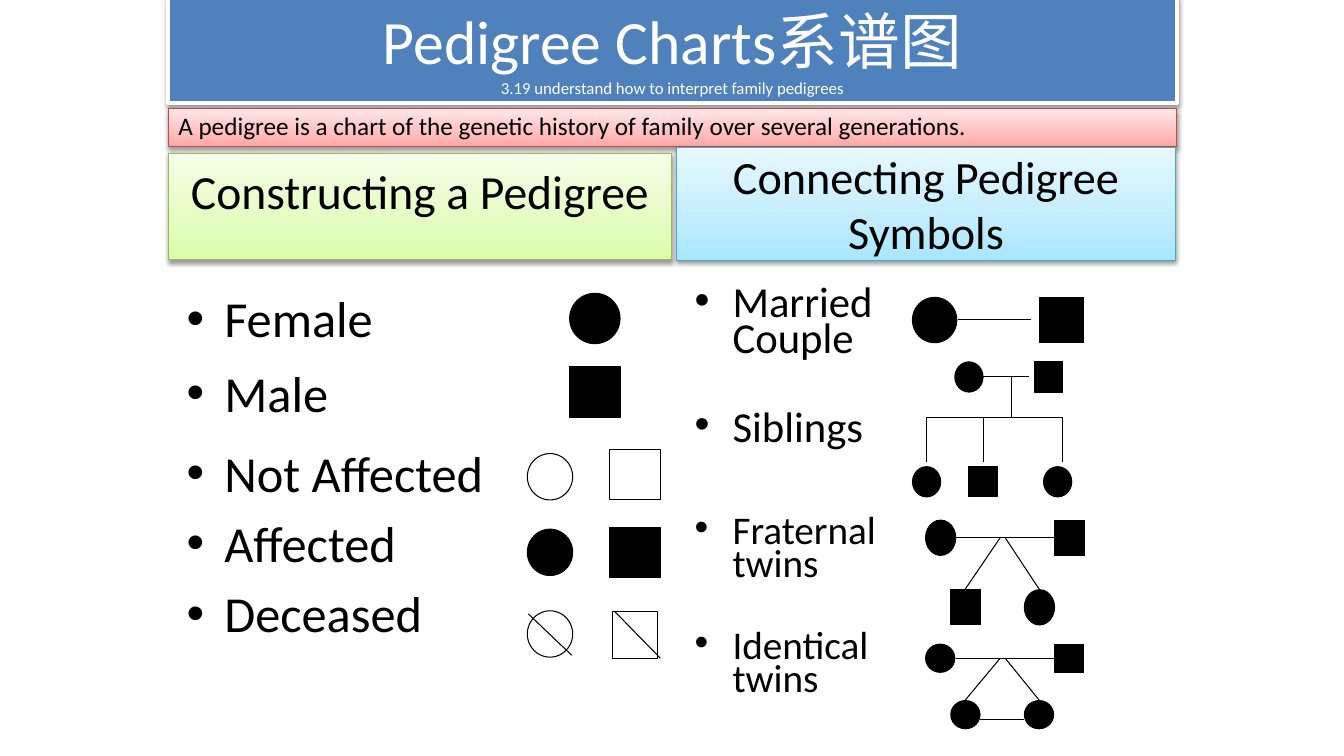
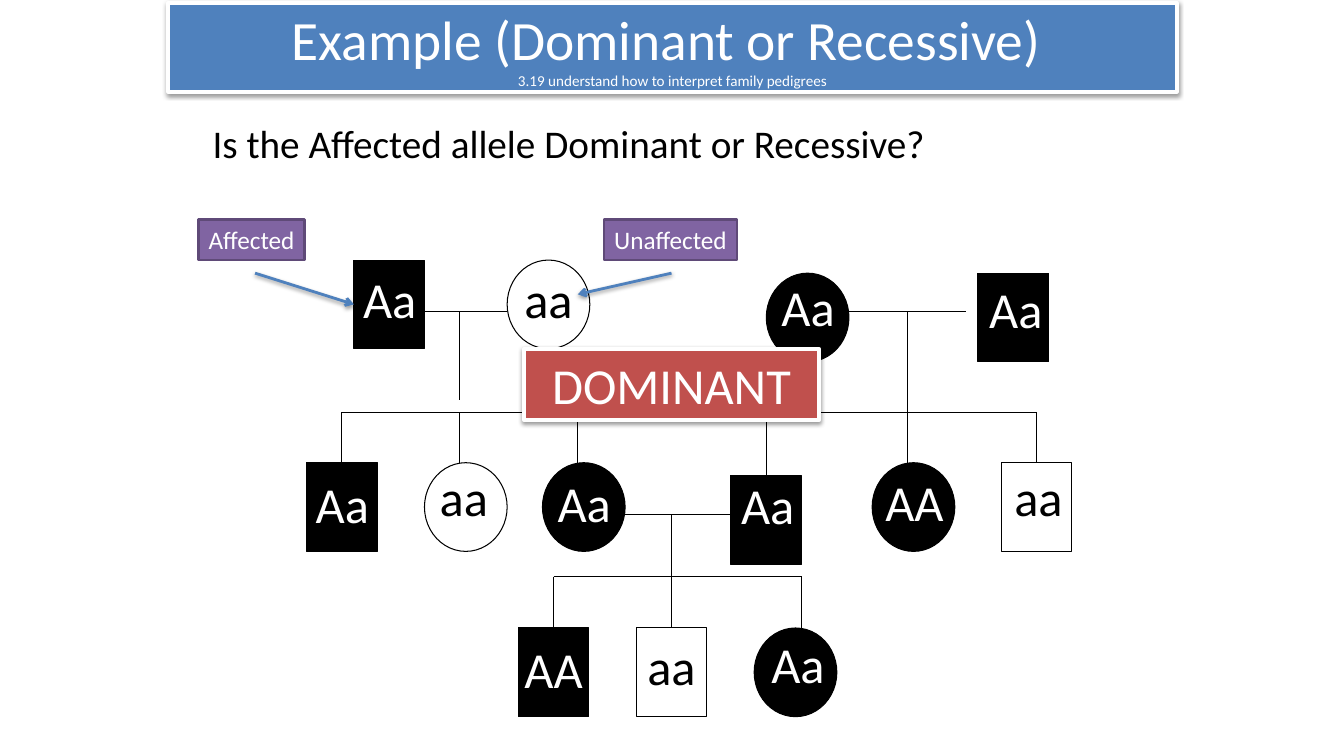
from dataclasses import dataclass
from typing import Optional, Sequence

from lxml.etree import SubElement
from pptx import Presentation
from pptx.dml.color import RGBColor
from pptx.enum.shapes import MSO_CONNECTOR, MSO_SHAPE
from pptx.enum.text import MSO_ANCHOR, MSO_AUTO_SIZE, PP_ALIGN
from pptx.oxml.ns import qn
from pptx.util import Inches, Pt

FONT = "Calibri"
BLACK, WHITE = "000000", "FFFFFF"
BLUE, RED, PURPLE, PURPLE_EDGE = "4F81BD", "C0504D", "8064A2", "5F4A78"
PINK_BAND = ("FFA6A5", "FFC0BF", "FFE7E7")
GREEN_BAND = ("DAFDA7", "E4FCC2", "F5FFE7")
SKY_BAND = ("A7E6FF", "C1EDFF", "E7F8FF")
SUBTITLE = "3.19 understand how to interpret family pedigrees"
MALE, FEMALE = MSO_SHAPE.RECTANGLE, MSO_SHAPE.OVAL


@dataclass
class Symbol:
    form: MSO_SHAPE
    left: float
    top: float
    width: float
    height: float
    fill: str = BLACK


@dataclass
class Person:
    """A family member with a genotype label placed on the symbol."""
    form: MSO_SHAPE
    left: float
    top: float
    genotype: str
    label_left: float
    label_top: float


@dataclass
class Item:
    text: str
    size: float
    before: float = 0


@dataclass
class Band:
    text: str
    box: tuple
    stops: tuple
    edge: str
    size: float
    align: PP_ALIGN = PP_ALIGN.CENTER
    anchor: MSO_ANCHOR = MSO_ANCHOR.MIDDLE
    top_inset: float = 0.05
    spacing: float = 1.0


@dataclass
class Siblings:
    """A bar at height bar with one drop from it to each child."""
    bar: float
    drops: Sequence[tuple]


def rgb(hex_color: str) -> RGBColor:
    return RGBColor.from_string(hex_color)


def write(paragraph, text: str, *, size: float, color: str = BLACK,
          align: Optional[PP_ALIGN] = None, spacing: Optional[float] = None,
          before: Optional[float] = None) -> None:
    """Add one run to the paragraph and format both."""
    run = paragraph.add_run()
    run.text = text
    run.font.name, run.font.size = FONT, Pt(size)
    run.font.color.rgb = rgb(color)
    if align is not None:
        paragraph.alignment = align
    if spacing is not None:
        paragraph.line_spacing = spacing
    if before is not None:
        paragraph.space_before = Pt(before)


def place(shape, left: float, top: float, width: float, height: float) -> None:
    shape.left, shape.top = Inches(left), Inches(top)
    shape.width, shape.height = Inches(width), Inches(height)


def cast_shadow(shape) -> None:
    properties = shape._element.spPr
    effects = properties.find(qn("a:effectLst"))
    if effects is None:
        effects = SubElement(properties, qn("a:effectLst"))
    shadow = SubElement(effects, qn("a:outerShdw"), blurRad=str(Pt(3.1)),
                        dist=str(Pt(1.6)), dir="5400000", rotWithShape="0")
    color = SubElement(shadow, qn("a:srgbClr"), val=BLACK)
    SubElement(color, qn("a:alpha"), val="38000")


def paint(shape, fill: str, edge: str = BLACK, weight: float = 0.75,
          shadow: bool = False) -> None:
    shape.fill.solid()
    shape.fill.fore_color.rgb = rgb(fill)
    shape.line.color.rgb = rgb(edge)
    shape.line.width = Pt(weight)
    shape.shadow.inherit = False
    if shadow:
        cast_shadow(shape)


def paint_gradient(shape, stops: tuple) -> None:
    """Fill from bottom to top with three stops."""
    shape.fill.gradient()
    shape.fill.gradient_angle = 90
    stop_list = shape._element.spPr.find(".//" + qn("a:gsLst"))
    for old in list(stop_list):
        stop_list.remove(old)
    for position, color in zip((0, 35000, 100000), stops):
        stop = SubElement(stop_list, qn("a:gs"), pos=str(position))
        SubElement(stop, qn("a:srgbClr"), val=color)


def add_box(slide, form: MSO_SHAPE, left: float, top: float, width: float,
            height: float, fill: str, **look):
    box = slide.shapes.add_shape(form, Inches(left), Inches(top),
                                 Inches(width), Inches(height))
    paint(box, fill, **look)
    return box


def add_symbol(slide, symbol: Symbol) -> None:
    add_box(slide, symbol.form, symbol.left, symbol.top, symbol.width,
            symbol.height, symbol.fill)


def add_line(slide, x1: float, y1: float, x2: float, y2: float,
             color: str = BLACK, weight: float = 0.75, arrow: bool = False) -> None:
    line = slide.shapes.add_connector(MSO_CONNECTOR.STRAIGHT, Inches(x1), Inches(y1),
                                      Inches(x2), Inches(y2))
    line.line.color.rgb = rgb(color)
    line.line.width = Pt(weight)
    if arrow:
        SubElement(line.line._get_or_add_ln(), qn("a:tailEnd"), type="arrow")
        cast_shadow(line)
    else:
        SubElement(line._element.spPr, qn("a:effectLst"))


def add_label(slide, text: str, left: float, top: float, width: float, height: float,
              wrap: bool = False, **look) -> None:
    label = slide.shapes.add_textbox(Inches(left), Inches(top),
                                     Inches(width), Inches(height))
    label.text_frame.word_wrap = wrap
    write(label.text_frame.paragraphs[0], text, **look)


def set_title(slide, text: str, top: float, height: float, size: float,
              subtitle_size: float) -> None:
    title = slide.shapes.title
    place(title, 1.67, top, 10, height)
    paint(title, BLUE, edge=WHITE, weight=3, shadow=True)
    title.text_frame.auto_size = MSO_AUTO_SIZE.NONE
    heading = title.text_frame.paragraphs[0]
    write(heading, text, size=size, color=WHITE, align=PP_ALIGN.CENTER)
    heading.add_line_break()
    write(heading, SUBTITLE, size=subtitle_size, color=WHITE)


def add_band(slide, band: Band) -> None:
    box = add_box(slide, MSO_SHAPE.RECTANGLE, *band.box, WHITE, edge=band.edge, shadow=True)
    paint_gradient(box, band.stops)
    frame = box.text_frame
    frame.word_wrap = True
    frame.vertical_anchor = band.anchor
    frame.margin_top = Inches(band.top_inset)
    write(frame.paragraphs[0], band.text, size=band.size, align=band.align,
          spacing=band.spacing)


def fill_list(body, box: tuple, items: Sequence[Item], spacing: float) -> None:
    place(body, *box)
    frame = body.text_frame
    frame.auto_size = MSO_AUTO_SIZE.NONE
    for index, item in enumerate(items):
        paragraph = frame.add_paragraph() if index else frame.paragraphs[0]
        write(paragraph, item.text, size=item.size, spacing=spacing, before=item.before)


def add_siblings(slide, siblings: Siblings) -> None:
    bar, drops = siblings.bar, siblings.drops
    add_line(slide, drops[0][0], bar, drops[-1][0], bar)
    for x, bottom in drops:
        add_line(slide, x, bar, x, bottom)


def add_twins(slide, top: float, child_top: float, width: float, height: float,
              first_child: MSO_SHAPE, joined: bool) -> None:
    """Draw a couple with two children who descend from one point."""
    middle = top + height / 2
    add_line(slide, 9.48, middle, 10.46, middle)
    add_line(slide, 9.92, middle, 9.57, child_top)
    add_line(slide, 9.97, middle, 10.31, child_top)
    for form, left, y in ((FEMALE, 9.18, top), (MALE, 10.46, top),
                          (first_child, 9.43, child_top), (FEMALE, 10.16, child_top)):
        add_symbol(slide, Symbol(form, left, y, width, height))
    if joined:
        add_line(slide, 9.72, 7.14, 10.16, 7.14)


def build_symbols_slide(deck) -> None:
    slide = deck.slides.add_slide(deck.slide_layouts[3])
    set_title(slide, "Pedigree Charts系谱图", -0.02, 1.04, 44, 12)
    for band in (
        Band("A pedigree is a chart of the genetic history of family over several generations.",
             (1.67, 1.08, 10, 0.37), PINK_BAND, "BF4C48", 18, PP_ALIGN.LEFT,
             MSO_ANCHOR.TOP, spacing=0.9),
        Band("Constructing a Pedigree", (1.67, 1.52, 4.99, 1.06), GREEN_BAND, "98B955",
             34, anchor=MSO_ANCHOR.TOP, top_inset=0.09),
        Band("Connecting Pedigree Symbols", (6.71, 1.46, 4.95, 1.12), SKY_BAND,
             "46AAC5", 33),
    ):
        add_band(slide, band)

    individuals, relations = list(slide.placeholders)[1:]
    fill_list(individuals, (1.75, 2.8, 4.15, 3.77),
              (Item("Female", 36), Item("Male", 36, 10), Item("Not Affected", 36, 14),
               Item("Affected", 36, 7), Item("Deceased", 36, 7)), spacing=1)
    fill_list(relations, (6.79, 2.82, 2.26, 4.4),
              (Item("Married Couple", 30.5), Item("Siblings", 30.5, 37.5),
               Item("Fraternal twins", 28, 49), Item("Identical twins", 28, 35)),
              spacing=0.7)

    small, large = (0.45, 0.46), (0.5, 0.5)
    key = (
        Symbol(FEMALE, 5.65, 2.91, *large), Symbol(MALE, 5.65, 3.64, *large),
        Symbol(FEMALE, 5.23, 4.5, *small, WHITE), Symbol(MALE, 6.05, 4.46, *large, WHITE),
        Symbol(FEMALE, 5.23, 5.25, *small), Symbol(MALE, 6.05, 5.23, *large),
        Symbol(FEMALE, 5.23, 6.06, *small, WHITE), Symbol(MALE, 6.07, 6.07, *small, WHITE),
    )
    couple = (Symbol(FEMALE, 9.05, 2.95, 0.44, 0.45), Symbol(MALE, 10.31, 2.95, 0.44, 0.45))
    family = [Symbol(form, left, top, 0.28, 0.3) for form, left, top in (
        (FEMALE, 9.47, 3.59), (MALE, 10.26, 3.59),
        (FEMALE, 9.05, 4.63), (MALE, 9.61, 4.63), (FEMALE, 10.35, 4.63))]
    for symbol in (*key, *couple, *family):
        add_symbol(slide, symbol)

    deceased_strokes = ((5.24, 6.09, 5.67, 6.5), (6.1, 6.07, 6.55, 6.53))
    family_lines = ((9.5, 3.17, 10.23, 3.17), (9.75, 3.74, 10.21, 3.74),
                    (10.03, 3.74, 10.03, 4.14))
    for ends in deceased_strokes + family_lines:
        add_line(slide, *ends)
    add_siblings(slide, Siblings(4.14, [(x, 4.58) for x in (9.19, 9.75, 10.54)]))
    add_twins(slide, 5.16, 5.85, 0.3, 0.35, MALE, joined=False)
    add_twins(slide, 6.39, 6.95, 0.29, 0.28, FEMALE, joined=True)


def add_person(slide, person: Person) -> None:
    unaffected = person.genotype == "aa"
    fill, ink = (WHITE, BLACK) if unaffected else (BLACK, WHITE)
    width = 0.7 if person.form == MALE else 0.82
    label_width = {"aa": 0.68, "Aa": 0.73, "AA": 0.78}[person.genotype]
    add_symbol(slide, Symbol(person.form, person.left, person.top, width, 0.88, fill))
    add_label(slide, person.genotype, person.label_left, person.label_top,
              label_width, 0.71, size=36, color=ink, align=PP_ALIGN.CENTER)


def add_callout(slide, text: str, left: float, width: float, arrow: tuple) -> None:
    tag = add_box(slide, MSO_SHAPE.RECTANGLE, left, 2.18, width, 0.4, PURPLE,
                  edge=PURPLE_EDGE, weight=2)
    tag.text_frame.word_wrap = False
    write(tag.text_frame.paragraphs[0], text, size=18, color=WHITE, align=PP_ALIGN.CENTER)
    add_line(slide, *arrow, color=BLUE, weight=2, arrow=True)


def build_example_slide(deck) -> None:
    slide = deck.slides.add_slide(deck.slide_layouts[5])
    set_title(slide, "Example (Dominant or Recessive) ", 0.03, 0.88, 39.6, 10.8)
    add_label(slide, "Is the Affected allele Dominant or Recessive?", 2.01, 1.13, 7.5, 0.57,
              wrap=True, size=28)

    couple_lines = ((4.21, 3.09, 5.03, 3.09), (8.41, 3.09, 9.58, 3.09),
                    (6.19, 5.1, 7.25, 5.1))
    descents = ((4.56, 3.09, 4.56, 3.97), (9, 3.09, 9, 4.09), (6.66, 5.1, 6.66, 5.72))
    for ends in couple_lines + descents:
        add_line(slide, *ends)
    for siblings in (
        Siblings(4.09, ((3.39, 4.59), (4.56, 4.59), (5.73, 4.59))),
        Siblings(4.09, ((7.6, 4.72), (9, 4.59), (10.28, 4.59))),
        Siblings(5.72, ((5.49, 6.23), (6.66, 6.23), (7.95, 6.23))),
    ):
        add_siblings(slide, siblings)

    for person in (
        Person(MALE, 3.51, 2.58, "Aa", 3.5, 2.61),
        Person(FEMALE, 5.03, 2.58, "aa", 5.1, 2.61),
        Person(FEMALE, 7.6, 2.71, "Aa", 7.65, 2.69),
        Person(MALE, 9.7, 2.71, "Aa", 9.71, 2.71),
        Person(MALE, 3.04, 4.59, "Aa", 3.03, 4.64),
        Person(FEMALE, 4.21, 4.59, "aa", 4.26, 4.57),
        Person(FEMALE, 5.38, 4.59, "Aa", 5.43, 4.63),
        Person(MALE, 7.25, 4.72, "Aa", 7.25, 4.65),
        Person(FEMALE, 8.65, 4.59, "AA", 8.68, 4.62),
        Person(MALE, 9.93, 4.59, "aa", 9.96, 4.57),
        Person(MALE, 5.14, 6.23, "AA", 5.1, 6.28),
        Person(MALE, 6.31, 6.23, "aa", 6.32, 6.25),
        Person(FEMALE, 7.48, 6.23, "Aa", 7.55, 6.23),
    ):
        add_person(slide, person)

    add_callout(slide, "Affected", 1.97, 1.05, (2.53, 2.71, 3.51, 3.02))
    add_callout(slide, "Unaffected", 5.99, 1.32, (6.66, 2.71, 5.73, 2.92))
    answer = add_box(slide, MSO_SHAPE.RECTANGLE, 5.2, 3.46, 2.92, 0.71, RED,
                     edge=WHITE, weight=3, shadow=True)
    write(answer.text_frame.paragraphs[0], "DOMINANT", size=36, color=WHITE,
          align=PP_ALIGN.CENTER)


def main() -> None:
    deck = Presentation()
    deck.slide_width, deck.slide_height = Inches(13.33), Inches(7.5)
    build_symbols_slide(deck)
    build_example_slide(deck)
    deck.save("out.pptx")


if __name__ == "__main__":
    main()
